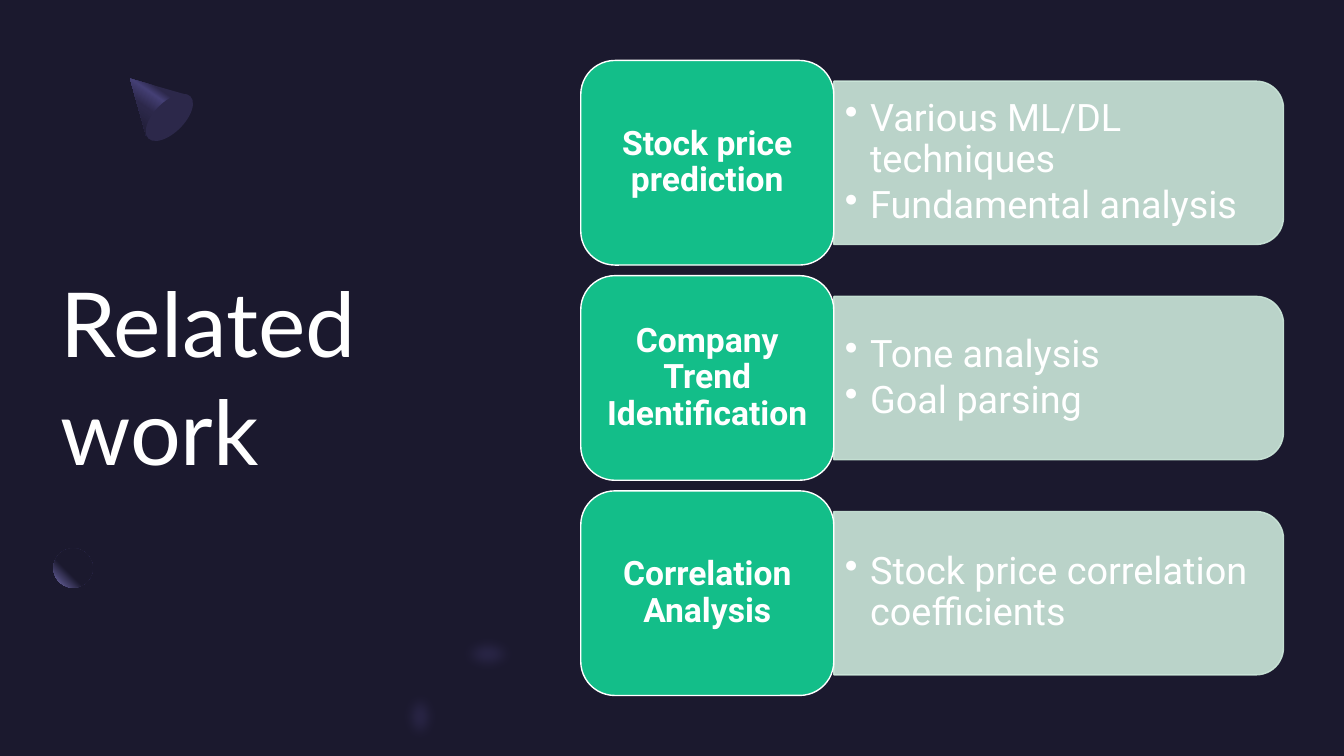
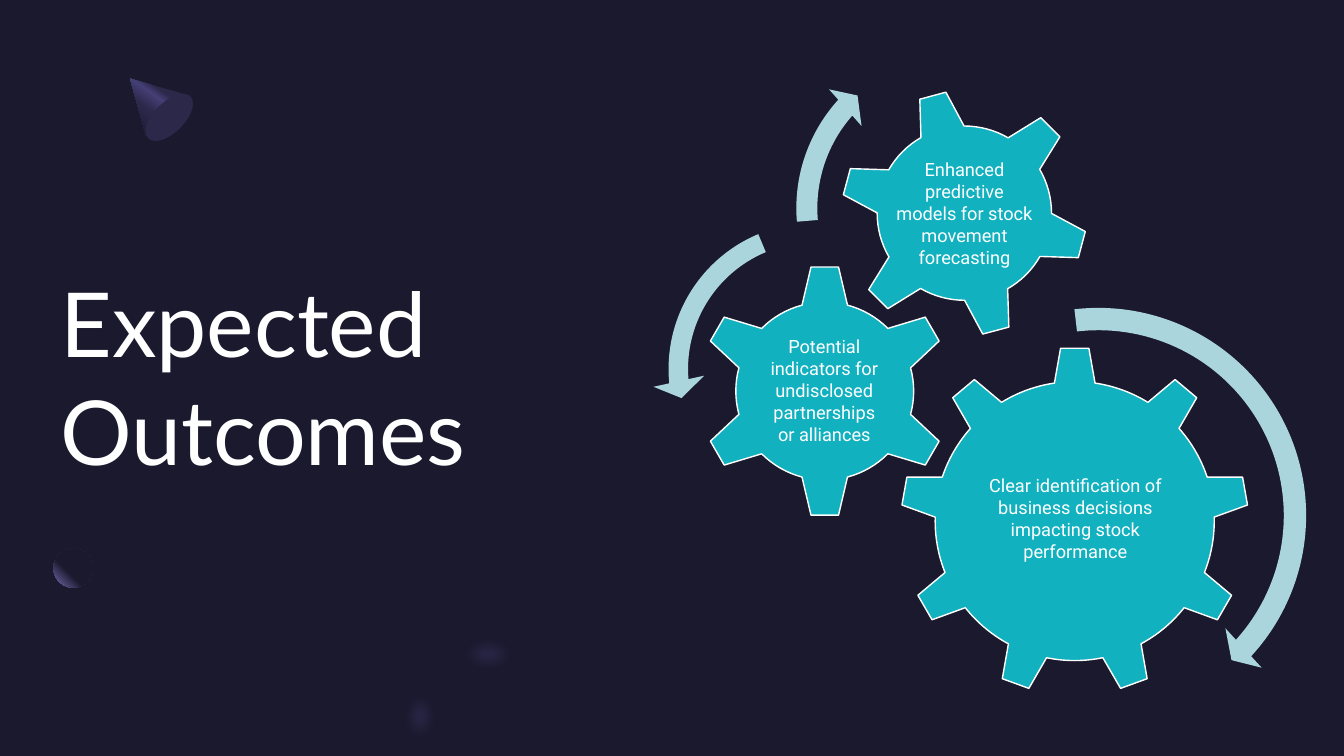
from typing import NamedTuple

from lxml import etree
from pptx import Presentation
from pptx.dml.color import RGBColor
from pptx.enum.shapes import MSO_SHAPE
from pptx.enum.text import MSO_ANCHOR, MSO_AUTO_SIZE, PP_ALIGN
from pptx.oxml.ns import qn
from pptx.util import Emu, Inches, Pt

OVAL = MSO_SHAPE.OVAL
BLOCK = MSO_SHAPE.ROUNDED_RECTANGLE
PANEL = MSO_SHAPE.ROUND_2_SAME_RECTANGLE
GEAR_6 = MSO_SHAPE.GEAR_6
GEAR_9 = MSO_SHAPE.GEAR_9
ARC = MSO_SHAPE.CIRCULAR_ARROW
LEFT_ARC = MSO_SHAPE.LEFT_CIRCULAR_ARROW
LEFT, CENTER = PP_ALIGN.LEFT, PP_ALIGN.CENTER
MIDDLE = MSO_ANCHOR.MIDDLE
NO_FIT = MSO_AUTO_SIZE.NONE

WIDTH, HEIGHT = 13.33, 7.5
ROWS = 30  # square cells, a quarter of an inch each
TITLE_ONLY = 5
COLORS = {
    "back": "1B192E",
    "text": "FFFFFF",
    "cone": "2C284A",
    "shine": "454075",
    "glow": "7771B2",
    "block": "13BE89",
    "panel": "CCE8DA",
    "gear": "12B1BF",
    "arc": "ABD5DC",
}


class Box(NamedTuple):
    """A frame in grid cells."""
    left: float
    top: float
    width: float
    height: float


class Style(NamedTuple):
    font: str
    size: float
    bold: bool = False
    align: PP_ALIGN = LEFT
    space: float = 1.0
    after: float = 0
    bullet: bool = False


class Topic(NamedTuple):
    name: str
    points: tuple[str, ...]


class Gear(NamedTuple):
    kind: MSO_SHAPE
    box: Box
    turn: float
    words: Box
    text: str


class Arc(NamedTuple):
    kind: MSO_SHAPE
    box: Box
    bends: tuple[float, ...]


TITLE = Style("Lato", 64)
LABEL = Style("Roboto", 24, bold=True, align=CENTER, space=0.9)
POINT = Style("Roboto", 27, space=0.9, after=4, bullet=True)
NOTE = Style("Roboto", 13, align=CENTER)

TITLE_BOX = Box(2.4, 6.64, 19.84, 16.52)
CONE = ((5.16, 3.12), (7.4, 3.76), (5.8, 5.4))
CONE_BASE = Box(6.12, 3.48, 1.2, 2.36)
ORB = Box(2.12, 21.76, 1.56, 1.56)
BLURS = (Box(17.9, 25.1, 2.9, 1.7), Box(15.8, 27.1, 1.7, 2.7))

TOPICS = (
    Topic("Stock price prediction",
          ("Various ML/DL techniques", "Fundamental analysis")),
    Topic("Company Trend Identification", ("Tone analysis", "Goal parsing")),
    Topic("Correlation Analysis", ("Stock price correlation coefficients",)),
)
GEARS = (
    Gear(GEAR_9, Box(35.72, 13.76, 13.84, 13.84), 0,
         Box(38.52, 17, 8.28, 7.12),
         "Clear identification of business decisions impacting stock performance"),
    Gear(GEAR_6, Box(27.68, 10.48, 10.08, 10.08), 0,
         Box(30.2, 13, 5, 4.96),
         "Potential indicators for undisclosed partnerships or alliances"),
    Gear(GEAR_6, Box(33.32, 3.52, 9.88, 9.88), 345,
         Box(35.48, 5.68, 5.56, 5.56),
         "Enhanced predictive models for stock movement forecasting"),
)
ARCS = (
    Arc(ARC, Box(34.72, 11.6, 17.72, 17.72),
        (0.05, 2.99, 25.44, 158.02, 0.06)),
    Arc(LEFT_ARC, Box(25.88, 8.2, 12.88, 12.88),
        (0.06, 4.3, 104.89, 148.38, 0.08)),
    Arc(ARC, Box(31.04, 1.32, 13.88, 13.88),
        (0.06, 3.94, 133.14, 105.08, 0.07)),
)


def cells(count: float) -> Emu:
    return Inches(count * HEIGHT / ROWS)


def frame(box: Box) -> list[Emu]:
    return [cells(part) for part in box]


def color(name: str) -> RGBColor:
    return RGBColor.from_string(COLORS[name])


def fade(fill, share: int) -> None:
    """Make a solid fill see-through; share is its opacity in percent."""
    tint = fill._xPr.find(qn("a:solidFill"))[0]
    etree.SubElement(tint, qn("a:alpha"), val=str(share * 1000))


def blend(shape, stops, angle=None) -> None:
    """Fill with a linear blend, or from the top right corner if no angle."""
    shape.fill.gradient()
    grad = shape._element.spPr.find(qn("a:gradFill"))
    for child in list(grad):
        grad.remove(child)
    marks = etree.SubElement(grad, qn("a:gsLst"))
    for place, name in stops:
        stop = etree.SubElement(marks, qn("a:gs"), pos=str(place * 1000))
        etree.SubElement(stop, qn("a:srgbClr"), val=COLORS[name])
    if angle is None:
        path = etree.SubElement(grad, qn("a:path"), path="circle")
        etree.SubElement(path, qn("a:fillToRect"), l="100000", b="100000")
    else:
        etree.SubElement(grad, qn("a:lin"), ang=str(angle * 60000), scaled="0")


def draw(slide, kind, box: Box, fill: str, line: str = "", turn: float = 0):
    shape = slide.shapes.add_shape(kind, *frame(box))
    shape.shadow.inherit = False
    shape.rotation = turn
    shape.fill.solid()
    shape.fill.fore_color.rgb = color(fill)
    if line:
        shape.line.color.rgb = color(line)
        shape.line.width = Pt(1)
    else:
        shape.line.fill.background()
    return shape


def write(shape, lines: tuple[str, ...], style: Style, pad=None) -> None:
    """Set the lines as paragraphs; pad is (side, end) insets in inches."""
    body = shape.text_frame
    body.word_wrap = True
    body.auto_size = NO_FIT
    body.vertical_anchor = MIDDLE
    if pad:
        body.margin_left = body.margin_right = Inches(pad[0])
        body.margin_top = body.margin_bottom = Inches(pad[1])
    for index, line in enumerate(lines):
        para = body.add_paragraph() if index else body.paragraphs[0]
        para.alignment = style.align
        para.line_spacing = style.space
        para.space_before = Pt(0)
        para.space_after = Pt(style.after)
        if style.bullet:
            props = para._p.get_or_add_pPr()
            props.set("marL", str(Inches(0.25)))
            props.set("indent", str(Inches(-0.25)))
            etree.SubElement(props, qn("a:buChar"), char="•")
        run = para.add_run()
        run.text = line
        run.font.name = style.font
        run.font.size = Pt(style.size)
        run.font.bold = style.bold
        run.font.color.rgb = color("text")


def adorn(slide) -> None:
    """Add the cone, the orb and the blurs at the left."""
    path = slide.shapes.build_freeform(
        *(cells(part) for part in CONE[0]), scale=1.0)
    path.add_line_segments([(cells(x), cells(y)) for x, y in CONE[1:]])
    cone = path.convert_to_shape()
    cone.shadow.inherit = False
    cone.line.fill.background()
    blend(cone, ((30, "cone"), (40, "shine"), (60, "cone"), (100, "back")), 125)
    draw(slide, OVAL, CONE_BASE, "cone", turn=45)
    orb = draw(slide, OVAL, ORB, "back")
    blend(orb, ((60, "back"), (100, "glow")))
    for box in BLURS:
        blur = draw(slide, OVAL, box, "cone")
        effects = blur._element.spPr.find(qn("a:effectLst"))
        etree.SubElement(effects, qn("a:softEdge"), rad=str(Inches(0.12)))


def start(deck, title: str):
    """Add a slide with the shared title and left side."""
    slide = deck.slides.add_slide(deck.slide_layouts[TITLE_ONLY])
    head = slide.shapes.title
    head.left, head.top, head.width, head.height = frame(TITLE_BOX)
    write(head, (title,), TITLE, (0, 0))
    adorn(slide)
    return slide


def add_topic(slide, topic: Topic, top: float) -> None:
    block = Box(23.04, top, 10.04, 8.12)
    edge = block.left + block.width
    long, short = 17.84, 6.48
    middle = top + block.height / 2
    # The panel stands upright before its quarter turn.
    upright = Box(edge + (long - short) / 2, middle - long / 2, short, long)
    panel = draw(slide, PANEL, upright, "panel", "panel", 90)
    fade(panel.fill, 90)
    fade(panel.line.fill, 90)
    words = Box(edge, middle - 2.94, 17.52, 5.88)
    write(slide.shapes.add_textbox(*frame(words)), topic.points, POINT,
          (0.11, 0.06))
    write(draw(slide, BLOCK, block, "block", "text"), (topic.name,), LABEL)


def add_gear(slide, gear: Gear) -> None:
    draw(slide, gear.kind, gear.box, "gear", "text", gear.turn)
    words = slide.shapes.add_textbox(*frame(gear.words))
    write(words, (gear.text,), NOTE, (0.02, 0.02))


def add_arc(slide, arc: Arc) -> None:
    shape = draw(slide, arc.kind, arc.box, "arc")
    for index, bend in enumerate(arc.bends):
        shape.adjustments[index] = bend


def main() -> None:
    deck = Presentation()
    deck.slide_width, deck.slide_height = Inches(WIDTH), Inches(HEIGHT)
    back = deck.slide_master.background.fill
    back.solid()
    back.fore_color.rgb = color("back")

    related = start(deck, "Related work")
    for row, topic in enumerate(TOPICS):
        add_topic(related, topic, 2.4 + row * 8.54)

    outcomes = start(deck, "Expected Outcomes")
    for gear in GEARS:
        add_gear(outcomes, gear)
    for arc in ARCS:
        add_arc(outcomes, arc)
    deck.save("out.pptx")


if __name__ == "__main__":
    main()
